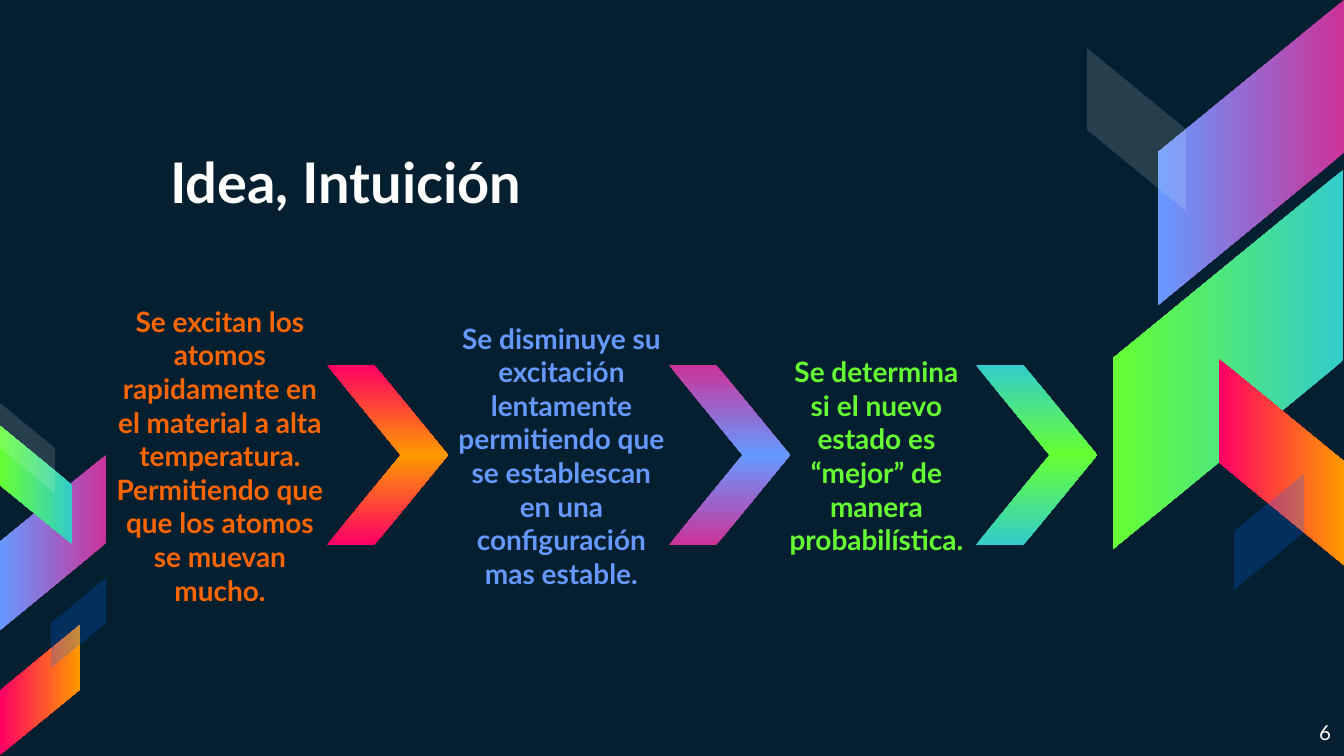
from dataclasses import dataclass

from lxml.etree import SubElement
from pptx import Presentation
from pptx.dml.color import RGBColor
from pptx.enum.shapes import MSO_SHAPE
from pptx.enum.text import MSO_ANCHOR as Anchor, MSO_AUTO_SIZE as AutoSize, PP_ALIGN as Align
from pptx.oxml.ns import qn
from pptx.util import Emu, Pt

WIDTH, HEIGHT = 1344, 756
EMU_PER_PX = 9144000 / WIDTH


@dataclass(frozen=True)
class Theme:
    font: str = "Lato"
    background: str = "041F30"
    white: str = "FFFFFF"
    blue: str = "0066FF"
    orange_text: str = "FF6600"
    blue_text: str = "6699FF"
    green_text: str = "66FF33"
    violet: tuple = ("CC3399", "6699FF")
    green: tuple = ("33CCCC", "66FF33")
    fire: tuple = ("FF0066", "FF9900")
    title_size: int = 30
    step_size: int = 15
    number_size: int = 11
    slant: float = 0.819
    inset: int = 13


THEME = Theme()

TITLE = ("Idea, Intuición", (157, 134, 878, 94))
PAGE_NUMBER = ("6", (1258, 707, 86, 48))

# Visible box, rotation, flipped, gradient or (colour, opacity in percent)
RIBBONS = [
    ((1158, 0, 186, 305), 90, True, THEME.violet),
    ((1113, 170, 230, 379), 90, True, THEME.green),
    ((1219, 359, 125, 206), 270, False, THEME.fire),
    ((1087, 48, 99, 163), 270, False, (THEME.white, 14)),
    ((1234, 474, 70, 116), 270, True, (THEME.blue, 23)),
    ((0, 455, 106, 175), 90, True, THEME.violet),
    ((0, 426, 72, 118), 90, False, THEME.green),
    ((0, 625, 80, 130), 270, True, THEME.fire),
    ((0, 403, 55, 90), 270, False, (THEME.white, 14)),
    ((51, 578, 55, 90), 270, True, (THEME.blue, 23)),
]

# Text, colour, text left and width, arrow left, arrow gradient
STEPS = [
    ("Se excitan los atomos rapidamente en el material a alta temperatura. "
     "Permitiendo que que los atomos se muevan mucho.",
     THEME.orange_text, 99, 242, 327, THEME.fire),
    ("Se disminuye su excitación lentamente permitiendo que se establescan "
     "en una configuración mas estable.",
     THEME.blue_text, 443, 237, 669, THEME.violet),
    ("Se determina\nsi el nuevo estado es “mejor” de manera probabilística.",
     THEME.green_text, 769, 215, 976, THEME.green),
]
STEP_TOP, STEP_HEIGHT = 365, 181
ARROW_TOP, ARROW_WIDTH, ARROW_HALF = 365, 121, 90


def px(*lengths):
    return [Emu(round(length * EMU_PER_PX)) for length in lengths]


def rgb(code):
    return RGBColor.from_string(code)


def paint(shape, paint_spec):
    """Fill with a two-colour gradient, or with a colour at an opacity."""
    first, second = paint_spec
    if isinstance(second, str):
        shape.fill.gradient()
        shape.fill.gradient_angle = 270
        for stop, code in zip(shape.fill.gradient_stops, paint_spec):
            stop.color.rgb = rgb(code)
        for stop, position in zip(shape.fill.gradient_stops, (0, 1)):
            stop.position = position
    else:
        shape.fill.solid()
        shape.fill.fore_color.rgb = rgb(first)
        colour = shape.element.spPr.find(".//" + qn("a:srgbClr"))
        SubElement(colour, qn("a:alpha"), val=str(second * 1000))


def add_parallelogram(shapes, box, rotation, flipped, paint_spec):
    shape = shapes.add_shape(MSO_SHAPE.PARALLELOGRAM, *px(*box))
    shape.adjustments[0] = THEME.slant
    shape.rotation = rotation
    if flipped:
        shape.element.spPr.find(qn("a:xfrm")).set("flipH", "1")
    paint(shape, paint_spec)
    shape.line.fill.background()
    shape.shadow.inherit = False


def add_ribbon(shapes, visible_box, rotation, flipped, paint_spec):
    """Turn the visible upright box into the lying box of a quarter-turned shape."""
    left, top, width, height = visible_box
    shift = (height - width) / 2
    box = (left - shift, top + shift, height, width)
    add_parallelogram(shapes, box, rotation, flipped, paint_spec)


def add_arrow(shapes, left, gradient):
    """Two mirrored parallelograms that meet at the arrow's tip."""
    group = shapes.add_group_shape()
    for half, (rotation, flipped) in enumerate([(0, True), (180, False)]):
        box = (left, ARROW_TOP + half * ARROW_HALF, ARROW_WIDTH, ARROW_HALF)
        add_parallelogram(group.shapes, box, rotation, flipped, gradient)


def write(shape, text, size, colour, align, anchor, bold=True):
    frame = shape.text_frame
    frame.text = text
    frame.word_wrap = True
    frame.auto_size = AutoSize.NONE
    frame.vertical_anchor = anchor
    inset, = px(THEME.inset)
    frame.margin_left = frame.margin_right = inset
    frame.margin_top = frame.margin_bottom = inset
    for paragraph in frame.paragraphs:
        paragraph.alignment = align
        for run in paragraph.runs:
            font = run.font
            font.name, font.size, font.bold = THEME.font, Pt(size), bold
            font.color.rgb = rgb(colour)


def main():
    presentation = Presentation()
    presentation.slide_width, presentation.slide_height = px(WIDTH, HEIGHT)
    slide = presentation.slides.add_slide(presentation.slide_layouts[5])
    slide.background.fill.solid()
    slide.background.fill.fore_color.rgb = rgb(THEME.background)
    shapes = slide.shapes

    for ribbon in RIBBONS:
        add_ribbon(shapes, *ribbon)

    text, box = TITLE
    title = shapes.title
    title.left, title.top, title.width, title.height = px(*box)
    write(title, text, THEME.title_size, THEME.white, Align.LEFT, Anchor.BOTTOM)

    for text, colour, left, width, arrow_left, gradient in STEPS:
        add_arrow(shapes, arrow_left, gradient)
        step = shapes.add_textbox(*px(left, STEP_TOP, width, STEP_HEIGHT))
        write(step, text, THEME.step_size, colour, Align.CENTER, Anchor.MIDDLE)

    text, box = PAGE_NUMBER
    number = shapes.add_textbox(*px(*box))
    write(number, text, THEME.number_size, THEME.white, Align.RIGHT, Anchor.TOP, bold=False)

    presentation.save("out.pptx")


if __name__ == "__main__":
    main()
